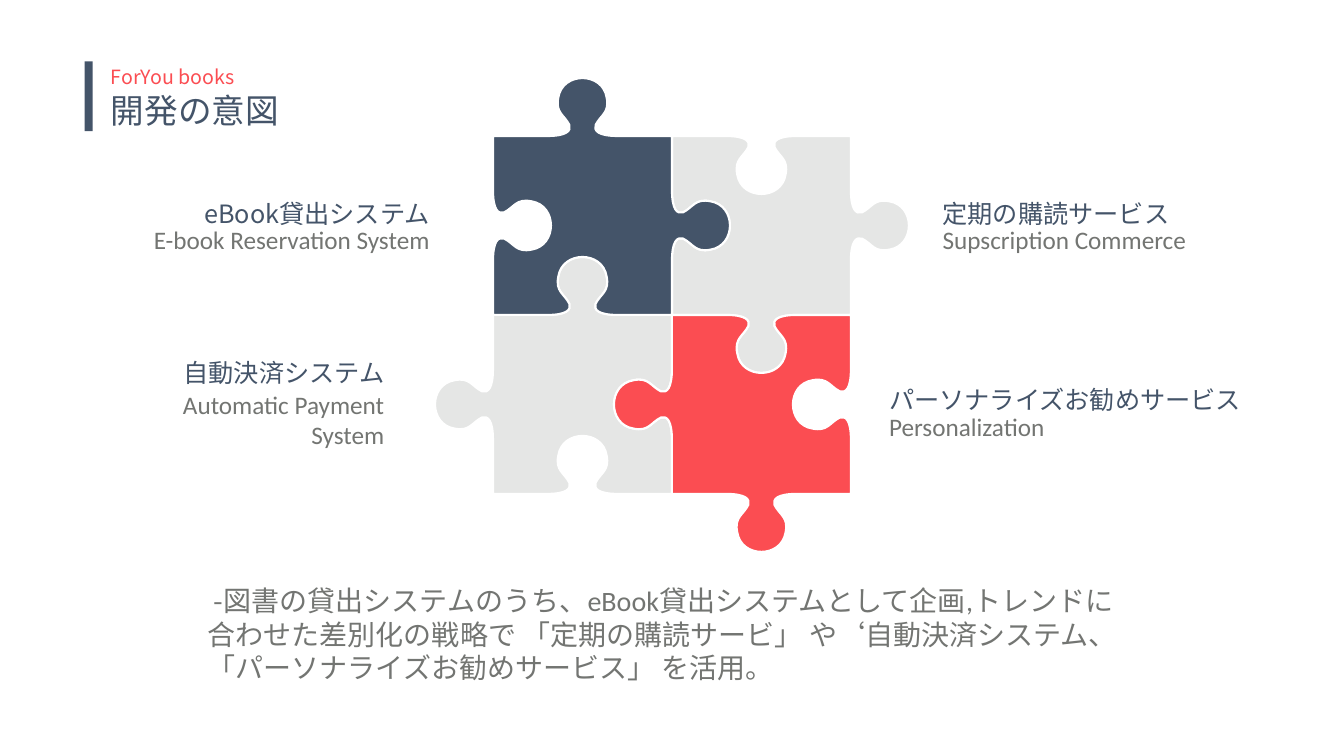
from dataclasses import dataclass

from lxml.etree import SubElement
from pptx import Presentation
from pptx.dml.color import RGBColor
from pptx.enum.shapes import MSO_SHAPE
from pptx.enum.text import MSO_ANCHOR, MSO_AUTO_SIZE, PP_ALIGN
from pptx.oxml.ns import qn
from pptx.util import Inches, Pt


@dataclass(frozen=True)
class Theme:
    """Colours, type sizes and fonts of the slide."""
    navy: str = "445469"
    red: str = "FB4D52"
    gray: str = "737572"
    white: str = "FFFFFF"
    title_size: int = 24
    body_size: int = 20
    label_size: int = 18
    brand_size: int = 14
    latin: str = "Calibri"
    korean: str = "Noto Sans CJK KR"
    chinese: str = "Noto Sans CJK SC"


THEME = Theme()
PIECE_SIDE = 1.775
FRAME_FORMAT = {
    "word_wrap": True,
    "auto_size": MSO_AUTO_SIZE.SHAPE_TO_FIT_TEXT,
    "vertical_anchor": MSO_ANCHOR.TOP,
    "margin_left": Inches(0.1),
    "margin_right": Inches(0.1),
    "margin_top": Inches(0.05),
    "margin_bottom": Inches(0.05),
}
HALF_KNOB = [(-0.35, 0), (-0.16, 0), (-0.11, 0.05), (-0.13, 0.11), (-0.18, 0.21),
             (-0.27, 0.23), (-0.24, 0.38), (-0.2, 0.64)]
KNOB = HALF_KNOB + [(-along, out) for along, out in reversed(HALF_KNOB)]


def set_all(target, values):
    """Set every attribute in a dict of format values."""
    for name, value in values.items():
        setattr(target, name, value)


def paint(shape, color, opacity=None):
    """Give a shape a flat fill, optionally translucent, and no shadow."""
    shape.shadow.inherit = False
    shape.fill.solid()
    shape.fill.fore_color.rgb = RGBColor.from_string(color)
    if opacity is not None:
        color_element = shape._element.spPr.find(qn("a:solidFill"))[0]
        SubElement(color_element, qn("a:alpha"), val=str(opacity * 1000))


def write_text(shape, runs, size, color, alignment=PP_ALIGN.LEFT, line_spacing=None):
    """Fill a text shape with one paragraph of (text, font) runs."""
    set_all(shape.text_frame, FRAME_FORMAT)
    paragraph = shape.text_frame.paragraphs[0]
    set_all(paragraph, {"alignment": alignment, "line_spacing": line_spacing})
    for text, font_name in runs:
        run = paragraph.add_run()
        run.text = text
        set_all(run.font, {"name": font_name, "size": Pt(size)})
        run.font.color.rgb = RGBColor.from_string(color)


def add_text(slide, box, *text_format):
    """Add a text box in the given box."""
    write_text(slide.shapes.add_textbox(*map(Inches, box)), *text_format)


def add_header(slide, left, top):
    """Place the accent bar, the small heading and the title."""
    bar = slide.shapes.add_shape(
        MSO_SHAPE.RECTANGLE, *map(Inches, (left, top, 0.08, 0.69)))
    paint(bar, THEME.navy)
    bar.line.fill.background()
    add_text(slide, (left + 0.16, top - 0.02, 4.79, 0.34),
             [("ForYou books", THEME.korean)], THEME.brand_size, THEME.red)
    title = slide.shapes.title
    set_all(title, {"left": Inches(left + 0.16), "top": Inches(top + 0.31),
                    "width": Inches(7.67), "height": Inches(0.42)})
    write_text(title, [("開発の意図", THEME.chinese)], THEME.title_size,
               THEME.navy, PP_ALIGN.LEFT, 0.8)


def curve_knobs(piece):
    """Turn the knob points of each side into cubic curves."""
    outline = piece._element.find(".//" + qn("a:path"))
    commands = list(outline)
    side_length = len(KNOB) + 1
    for side_start in range(0, 4 * side_length, side_length):
        for start in range(side_start + 2, side_start + side_length, 3):
            curve, *others = commands[start:start + 3]
            curve.tag = qn("a:cubicBezTo")
            for other in others:
                curve.append(other[0])
                outline.remove(other)


def add_piece(group, left, top, sides, color, opacity=None):
    """Draw a puzzle piece; sides are 1 out or -1 in, clockwise from the top."""
    x, y = left, top
    points = []
    for sign, (dx, dy) in zip(sides, ((1, 0), (0, 1), (-1, 0), (0, -1))):
        points.append((x, y))
        for along, out in KNOB:
            distance = PIECE_SIDE / 2 + along
            points.append((x + dx * distance + dy * out * sign,
                           y + dy * distance - dx * out * sign))
        x, y = x + dx * PIECE_SIDE, y + dy * PIECE_SIDE
    points = [(Inches(px), Inches(py)) for px, py in points]
    builder = group.shapes.build_freeform(*points[0])
    builder.add_line_segments(points[1:], close=True)
    piece = builder.convert_to_shape()
    curve_knobs(piece)
    paint(piece, color, opacity)
    piece.line.color.rgb = RGBColor.from_string(THEME.white)
    piece.line.width = Pt(1.5)


def add_puzzle(slide, left, top):
    """Assemble the four interlocking pieces in a two by two grid."""
    group = slide.shapes.add_group_shape()
    pieces = [
        (1, 0, (-1, 1, 1, -1), THEME.gray, 18),
        (0, 1, (1, -1, -1, 1), THEME.gray, 18),
        (0, 0, (1, 1, -1, -1), THEME.navy, None),
        (1, 1, (-1, -1, 1, 1), THEME.red, None),
    ]
    for column, row, sides, color, opacity in pieces:
        add_piece(group, left + column * PIECE_SIDE, top + row * PIECE_SIDE,
                  sides, color, opacity)


def add_label(slide, edge, top, heading, caption, gap, widths, alignment):
    """Place a heading over its caption, both aligned to one edge."""
    rows = [(heading, THEME.navy, top, widths[0]),
            ([(caption, THEME.latin)], THEME.gray, top + gap, widths[1])]
    for runs, color, row_top, width in rows:
        left = edge - width if alignment == PP_ALIGN.RIGHT else edge
        add_text(slide, (left, row_top, width, 0.4), runs,
                 THEME.label_size, color, alignment)


def add_summary(slide, box):
    """Write the closing paragraph."""
    add_text(slide, box, [
        (" -", THEME.korean),
        ("図書の貸出システムのうち、eBook貸出システムとして企画,トレンドに合わせた", THEME.latin),
        ("差別化の戦略で 「定期の購読サービ」 や‘自動決済システム、 "
         "「パーソナライズお勧めサービス」 を活用。", THEME.chinese),
    ], THEME.body_size, THEME.gray)


def main():
    """Build and save the slide."""
    presentation = Presentation()
    set_all(presentation, {"slide_width": Inches(13.33), "slide_height": Inches(7.5)})
    slide = presentation.slides.add_slide(presentation.slide_layouts[5])
    add_header(slide, 0.84, 0.61)
    add_puzzle(slide, 4.89, 1.35)
    labels = [
        (4.36, 1.92, [("eBook", THEME.korean), ("貸出システム", THEME.chinese)],
         "E-book Reservation System", 0.26, (3.47, 2.96), PP_ALIGN.RIGHT),
        (9.25, 1.92, [("定期の購読サービス", THEME.latin)],
         "Supscription Commerce", 0.26, (3.47, 2.93), PP_ALIGN.LEFT),
        (3.91, 3.5, [("自動決済システム", THEME.chinese)],
         "Automatic Payment System", 0.31, (3.47, 2.96), PP_ALIGN.RIGHT),
        (8.72, 3.76, [("パーソナライズお勧めサービス", THEME.latin)],
         "Personalization", 0.27, (4.27, 2.56), PP_ALIGN.LEFT),
    ]
    for label in labels:
        add_label(slide, *label)
    add_summary(slide, (1.96, 5.74, 9.41, 1.45))
    presentation.save("out.pptx")


if __name__ == "__main__":
    main()
